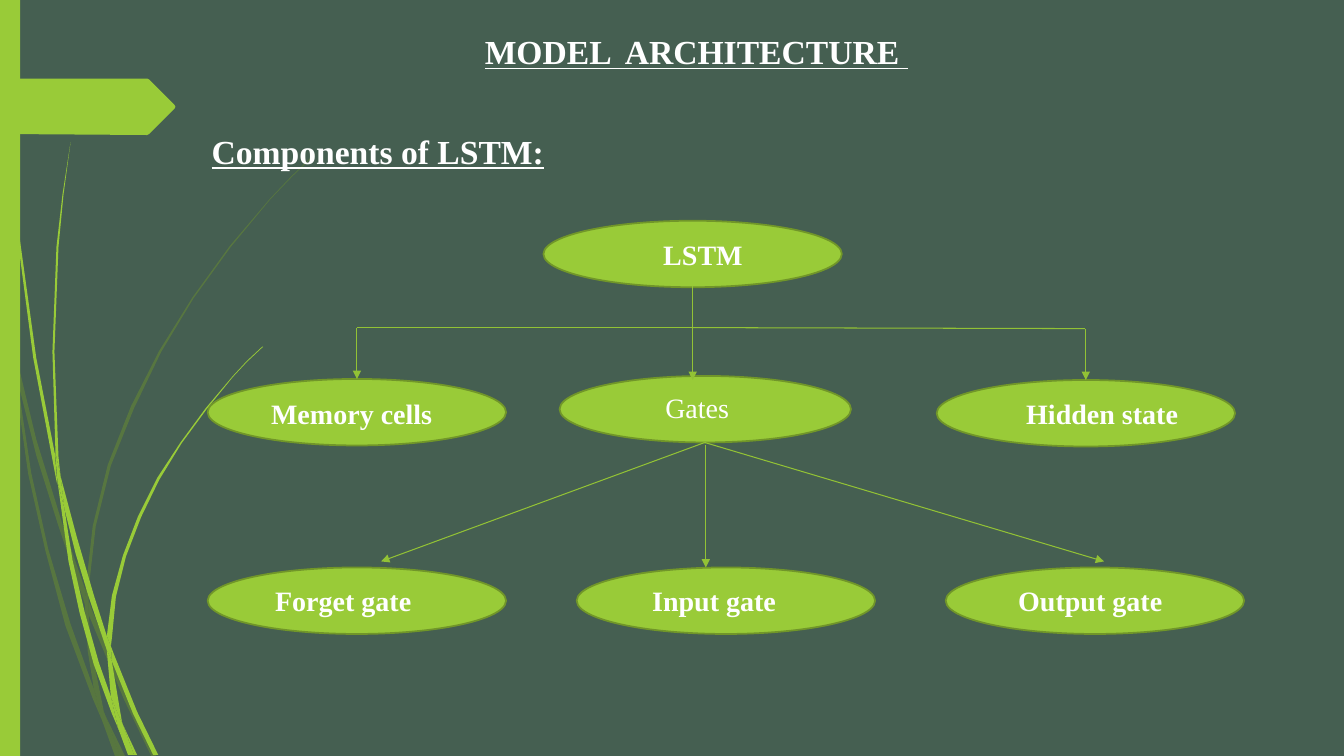
from dataclasses import dataclass
from typing import Optional

from lxml import etree
from pptx import Presentation, util as u
from pptx.dml.color import RGBColor
from pptx.enum import shapes, text
from pptx.oxml import ns

LIME, EDGE, WIRE = "99CB38", "719629", "92C235"
MOSS, WHITE, BASE = "739A28", "FFFFFF", "455F51"
FONT = "Times New Roman"


@dataclass
class Node:
    name: str
    left: float
    top: float
    tip: float
    span: float
    lift: float
    wide: float = 2.96
    bold: bool = True


@dataclass
class Link:
    x: float
    y: float
    to_x: float
    to_y: float
    arrow: bool = True
    goal: Optional[str] = None


GRID = [2.06 + 3.66 * i for i in range(3)]
NODES = [
    Node("LSTM", 5.39, 2.19, 6.48, 1.33, 0.12),
    Node("Memory cells", GRID[0], 3.76, 2.59, 1.9, 0.12),
    Node("Gates", 5.55, 3.73, 6.5, 1.44, 0.1, 2.89, False),
    Node("Hidden state", 9.29, 3.77, 10.08, 1.96, 0.11),
    Node("Forget gate", GRID[0], 5.63, 2.63, 1.8, 0.11),
    Node("Input gate", GRID[1], 5.63, 6.37, 1.77, 0.11),
    Node("Output gate", GRID[2], 5.63, 10, 1.92, 0.11),
]
LINKS = [
    Link(6.87, 2.84, 6.87, 3.25, False),
    Link(6.87, 3.25, 3.54, 3.25, False),
    Link(6.87, 3.25, 10.76, 3.26, False),
    Link(3.54, 3.25, 3.54, 3.76, goal="Memory cells"),
    Link(6.87, 3.25, 6.87, 3.77),
    Link(10.77, 3.26, 10.77, 3.77, goal="Hidden state"),
    Link(7, 4.41, 7, 5.63),
    Link(6.99, 4.39, 3.78, 5.57),
    Link(6.99, 4.39, 10.95, 5.57),
]
DIM = [
    "0.11,3.5 0.09,3.22 0,2.82 0,2.99 0.1,3.44",
    "0.58,5.22 0.84,5.99 0.85,5.86 0.62,5.2 0.36,4.36 0.14,3.45 0.17,3.76 0.36,4.52",
    "0.92,6.07 0.88,5.96 0.88,6.1 1.23,6.94 1.5,7.5 1.55,7.5 1.27,6.92",
    "1.19,7.5 1.24,7.5 1.05,7.11",
    "0.93,6.83 0.7,6.19 0.48,5.45 0.31,4.69 0.17,3.76 0.11,3.5 0.28,4.7 0.45,5.46 0.65,6.21 "
    "0.92,6.93 1.01,7.14 0.99,7.07",
    "0.84,5.99 0.87,6.46 0.93,6.83 0.96,6.92 1.05,7.11 1.03,7.06 0.91,6.46 0.88,6.1 0.88,6.08",
    "0.88,5.84 0.95,5.22 1.1,4.62 1.33,4.05 1.6,3.49 1.92,2.96 2.29,2.45 2.68,1.98 2.9,1.75 "
    "3.12,1.54 3.12,1.53 2.89,1.75 2.68,1.97 2.28,2.44 1.91,2.95 1.58,3.48 1.3,4.03 1.07,4.61 "
    "0.92,5.22 0.85,5.84 0.85,5.86 0.88,5.96",
    "1.01,7.14 1.14,7.5 1.19,7.5",
    "0.88,6.08 0.88,5.96 0.85,5.86 0.84,5.99",
    "0.96,6.92 0.93,6.83 0.99,7.07 1.01,7.14 1.19,7.5 1.05,7.11",
]
BRIGHT = [
    "0.07,1.1 0.17,2.33 0.33,3.55 0.56,4.77 0.57,4.81 0.55,4.57 0.55,4.53 0.36,3.55 0.19,2.32 "
    "0.08,1.09 0.05,0.48 0.04,0 0.03,0 0.04,0.48",
    "0.88,5.92 1.06,6.45 1.06,6.31 0.93,5.9 0.76,5.32 0.6,4.72 0.64,5.05 0.75,5.49",
    "1.13,6.49 1.1,6.41 1.11,6.56 1.32,7.08 1.52,7.49 1.57,7.49 1.36,7.06",
    "1.1,6.91 0.98,6.57 0.84,6.07 0.72,5.56 0.64,5.05 0.57,4.77 0.68,5.57 0.79,6.08 0.93,6.59 "
    "1.11,7.08 1.17,7.22 1.16,7.17",
    "0.6,4.72 0.58,4.53 0.54,3.49 0.58,2.45 0.63,1.93 0.7,1.41 0.62,1.93 0.56,2.45 0.52,3.49 "
    "0.55,4.49",
    "1.33,7.49 1.36,7.49 1.22,7.19",
    "0.57,4.77 0.64,5.05 0.6,4.72 0.55,4.49 0.55,4.53",
    "1.11,6.33 1.15,5.92 1.25,5.52 1.4,5.13 1.58,4.76 1.8,4.4 2.05,4.06 2.31,3.74 2.45,3.59 "
    "2.61,3.44 2.6,3.44 2.45,3.58 2.31,3.73 2.04,4.05 1.79,4.39 1.56,4.74 1.37,5.12 1.22,5.51 "
    "1.11,5.91 1.06,6.31 1.1,6.41",
    "1.17,7.22 1.27,7.49 1.31,7.49",
    "1.06,6.45 1.1,6.91 1.16,7.06 1.22,7.19 1.21,7.16 1.11,6.56 1.09,6.51",
    "1.06,6.45 1.09,6.51 1.11,6.56 1.1,6.41 1.06,6.31",
    "1.16,7.06 1.1,6.91 1.16,7.17 1.17,7.22 1.3,7.49 1.33,7.49 1.22,7.19",
]
TAG = "0,0.78 1.46,0.78 1.48,0.79 1.73,1.04 1.74,1.06 1.73,1.08 1.48,1.33 1.46,1.34 0,1.33"


def hue(code: str) -> RGBColor:
    return RGBColor.from_string(code)


def paint(shape, fill: str, edge: str = "", alpha: int = 100) -> None:
    shape.shadow.inherit = False
    shape.fill.solid()
    shape.fill.fore_color.rgb = hue(fill)
    if alpha < 100:
        tone = shape.fill._xPr.find(".//" + ns.qn("a:srgbClr"))
        etree.SubElement(tone, ns.qn("a:alpha"), val=str(alpha * 1000))
    if edge:
        shape.line.color.rgb = hue(edge)
        shape.line.width = u.Pt(1.25)
    else:
        shape.line.fill.background()


def blade(tree, route: str, fill: str, alpha: int = 100) -> None:
    dots = [tuple(u.Inches(float(n)) for n in dot.split(",")) for dot in route.split()]
    pen = tree.build_freeform(*dots[0])
    pen.add_line_segments(dots[1:])
    paint(pen.convert_to_shape(), fill, alpha=alpha)


def label(tree, words: str, x: float, y: float, wide: float, high: float,
          size: int, bold: bool = True, under: bool = False) -> None:
    box = tree.add_textbox(u.Inches(x), u.Inches(y), u.Inches(wide), u.Inches(high))
    frame = box.text_frame
    frame.word_wrap = True
    frame.auto_size = text.MSO_AUTO_SIZE.SHAPE_TO_FIT_TEXT
    run = frame.paragraphs[0].add_run()
    run.text = words
    font = run.font
    font.name, font.size, font.bold, font.underline = FONT, u.Pt(size), bold, under
    font.color.rgb = hue(WHITE)


def oval(tree, node: Node):
    shape = tree.add_shape(shapes.MSO_SHAPE.OVAL, u.Inches(node.left), u.Inches(node.top),
                           u.Inches(node.wide), u.Inches(0.66))
    paint(shape, LIME, EDGE)
    return shape


def wire(tree, link: Link, ovals: dict) -> None:
    ends = (u.Inches(n) for n in (link.x, link.y, link.to_x, link.to_y))
    line = tree.add_connector(shapes.MSO_CONNECTOR.STRAIGHT, *ends)
    line.line.color.rgb = hue(WIRE)
    line.line.width = u.Pt(0.75)
    if link.arrow:
        etree.SubElement(line.line._get_or_add_ln(), ns.qn("a:tailEnd"), type="triangle")
    etree.SubElement(line._element.spPr, ns.qn("a:effectLst"))
    if link.goal:
        line.end_connect(ovals[link.goal], 0)


def main() -> None:
    deck = Presentation()
    deck.slide_width, deck.slide_height = u.Inches(13.33), u.Inches(7.5)
    slide = deck.slides.add_slide(deck.slide_layouts[6])
    slide.background.fill.solid()
    slide.background.fill.fore_color.rgb = hue(BASE)
    tree = slide.shapes

    for routes, fill, alpha in ((DIM, MOSS, 40), (BRIGHT, LIME, 100)):
        group = tree.add_group_shape()
        for route in routes:
            blade(group.shapes, route, fill, alpha)
    bar = tree.add_shape(shapes.MSO_SHAPE.RECTANGLE, 0, 0, u.Inches(0.2), u.Inches(7.5))
    paint(bar, LIME)
    blade(tree, TAG, LIME)

    ovals = {node.name: oval(tree, node) for node in NODES}
    label(tree, "MODEL  ARCHITECTURE ", 4.71, 0.26, 5.4, 0.5, 24, under=True)
    label(tree, "Components of LSTM:", 2, 1.25, 3.55, 0.5, 24, under=True)
    for node in NODES:
        label(tree, node.name, node.tip, node.top + node.lift, node.span, 0.44, 20, node.bold)
    for link in LINKS:
        wire(tree, link, ovals)
    deck.save("out.pptx")


if __name__ == "__main__":
    main()
